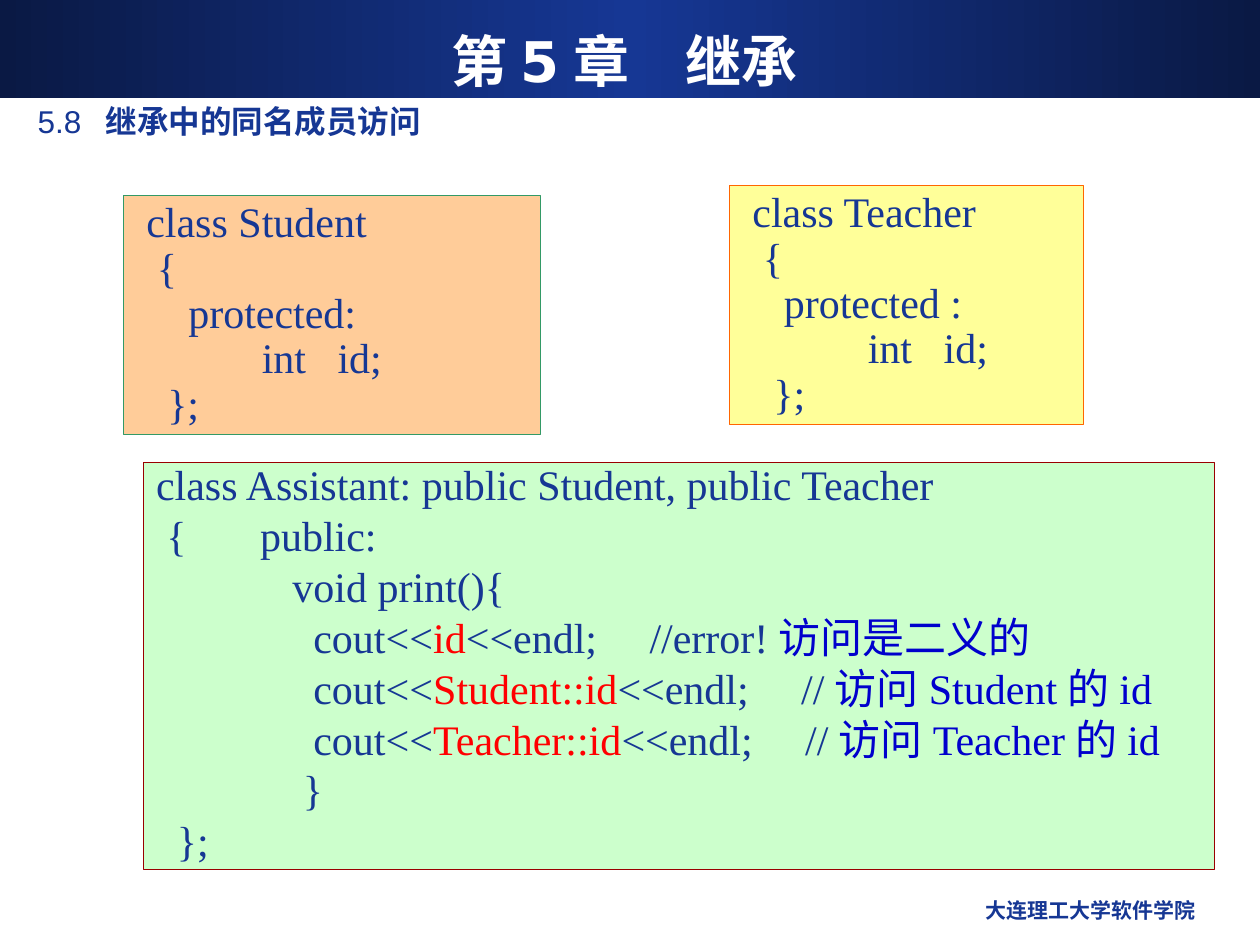
"""Build the slide on accessing same-named members under inheritance."""
from copy import deepcopy
from dataclasses import dataclass

from lxml.etree import SubElement
from pptx import Presentation
from pptx.dml.color import RGBColor as Rgb
from pptx.enum.shapes import MSO_SHAPE as Shape
from pptx.enum.text import MSO_ANCHOR as Anchor, PP_ALIGN as Align
from pptx.oxml.ns import qn
from pptx.util import Inches, Pt


@dataclass(frozen=True)
class Theme:
    navy: str = "163794"
    midnight: str = "0A1944"
    white: str = "FFFFFF"
    member: str = "FF0000"
    remark: str = "0000CC"
    heading_font: str = "DejaVu Sans"
    body_font: str = "Arial"
    code_font: str = "Times New Roman"
    title_size: int = 32
    section_size: int = 18
    footer_size: int = 12
    code_size: int = 24
    border: float = 0.75


class SlideBuilder:
    def __init__(self, page, theme):
        self.page = page
        self.theme = theme

    def style(self, font, name, size, color, bold=False):
        font.name = name
        font.size = Pt(size)
        font.color.rgb = Rgb.from_string(color)
        font.bold = bold

    def rectangle(self, left, top, width, height):
        box = self.page.shapes.add_shape(
            Shape.RECTANGLE, Inches(left), Inches(top), Inches(width), Inches(height))
        box.shadow.inherit = False
        return box

    def banner(self, width, height):
        fill = (box := self.rectangle(0, 0, width, height)).fill
        box.line.fill.background()
        fill.gradient()
        fill.gradient_angle = 0
        stops = box._element.spPr.find(qn("a:gradFill")).find(qn("a:gsLst"))
        stops.insert(1, deepcopy(stops[0]))
        colors = (self.theme.midnight, self.theme.navy, self.theme.midnight)
        for index, (stop, color) in enumerate(zip(fill.gradient_stops, colors)):
            stop.position = index / 2
            stop.color.rgb = Rgb.from_string(color)

    def label(self, left, top, width, height, align, anchor=Anchor.TOP):
        box = self.page.shapes.add_textbox(
            Inches(left), Inches(top), Inches(width), Inches(height))
        frame = box.text_frame
        frame.word_wrap = True
        frame.vertical_anchor = anchor
        para = frame.paragraphs[0]
        para.alignment = align
        return para

    def title(self, text):
        para = self.label(0.33, 0.17, 9.25, 0.62, Align.CENTER, Anchor.MIDDLE)
        para.text = text
        theme = self.theme
        self.style(para.font, theme.heading_font, theme.title_size, theme.white, True)

    def section(self, number, text):
        para = self.label(0.2, 0.76, 9.25, 0.41, Align.LEFT)
        tabs = SubElement(para._p.get_or_add_pPr(), qn("a:tabLst"))
        SubElement(tabs, qn("a:tab"), pos=str(Inches(0.54)), algn="l")
        theme = self.theme
        self.style(para.font, theme.body_font, theme.section_size, theme.navy)
        for content, bold in ((number + "\t", False), (text, True)):
            span = para.add_run()
            span.text = content
            span.font.bold = bold

    def footer(self, text):
        para = self.label(6.42, 7.07, 3.17, 0.35, Align.RIGHT)
        para.text = text
        theme = self.theme
        self.style(para.font, theme.body_font, theme.footer_size, theme.navy, True)

    def code(self, place, fill, border, lines, spacing, gap=0):
        theme = self.theme
        box = self.rectangle(*place)
        box.fill.solid()
        box.fill.fore_color.rgb = Rgb.from_string(fill)
        box.line.color.rgb = Rgb.from_string(border)
        box.line.width = Pt(theme.border)
        frame = box.text_frame
        frame.word_wrap = True
        frame.vertical_anchor = Anchor.TOP
        for index, line in enumerate(lines):
            para = frame.add_paragraph() if index else frame.paragraphs[0]
            para.alignment = Align.JUSTIFY
            para.line_spacing = spacing
            para.space_before = Pt(gap if index else 0)
            self.style(para.font, theme.code_font, theme.code_size, theme.navy)
            for text, color in [(line, theme.navy)] if isinstance(line, str) else line:
                span = para.add_run()
                span.text = text
                span.font.color.rgb = Rgb.from_string(color)


def base_class(name, access):
    return [f" class {name}", "  {", access, "            int   id;", "   };"]


def print_line(theme, member, slashes, remark):
    return [("               cout<<", theme.navy), (member, theme.member),
            (f"<<endl;     {slashes}", theme.navy), (remark, theme.remark)]


def main():
    deck = Presentation()
    deck.slide_width, deck.slide_height = Inches(10), Inches(7.5)
    theme = Theme()
    slide = SlideBuilder(deck.slides.add_slide(deck.slide_layouts[6]), theme)

    slide.banner(10, 0.78)
    slide.title("第5章　继承")
    slide.footer("大连理工大学软件学院")
    slide.section("5.8", "继承中的同名成员访问")

    assistant = [
        "class Assistant: public Student, public Teacher",
        " {       public:",
        "             void print(){",
        print_line(theme, "id", "//error!", "访问是二义的"),
        print_line(theme, "Student::id", "//", "访问Student的id"),
        print_line(theme, "Teacher::id", "//", "访问Teacher的id"),
        "              }",
        "  };",
    ]
    slide.code((1.14, 3.67, 8.5, 3.23), "CCFFCC", "990000", assistant, 0.8, 6)
    slide.code((0.98, 1.55, 3.31, 1.9), "FFCC99", "339966",
               base_class("Student", "     protected:"), 0.9)
    slide.code((5.79, 1.47, 2.81, 1.9), "FFFF99", "FF6600",
               base_class("Teacher", "    protected :"), 0.9)

    deck.save("out.pptx")


if __name__ == "__main__":
    main()
